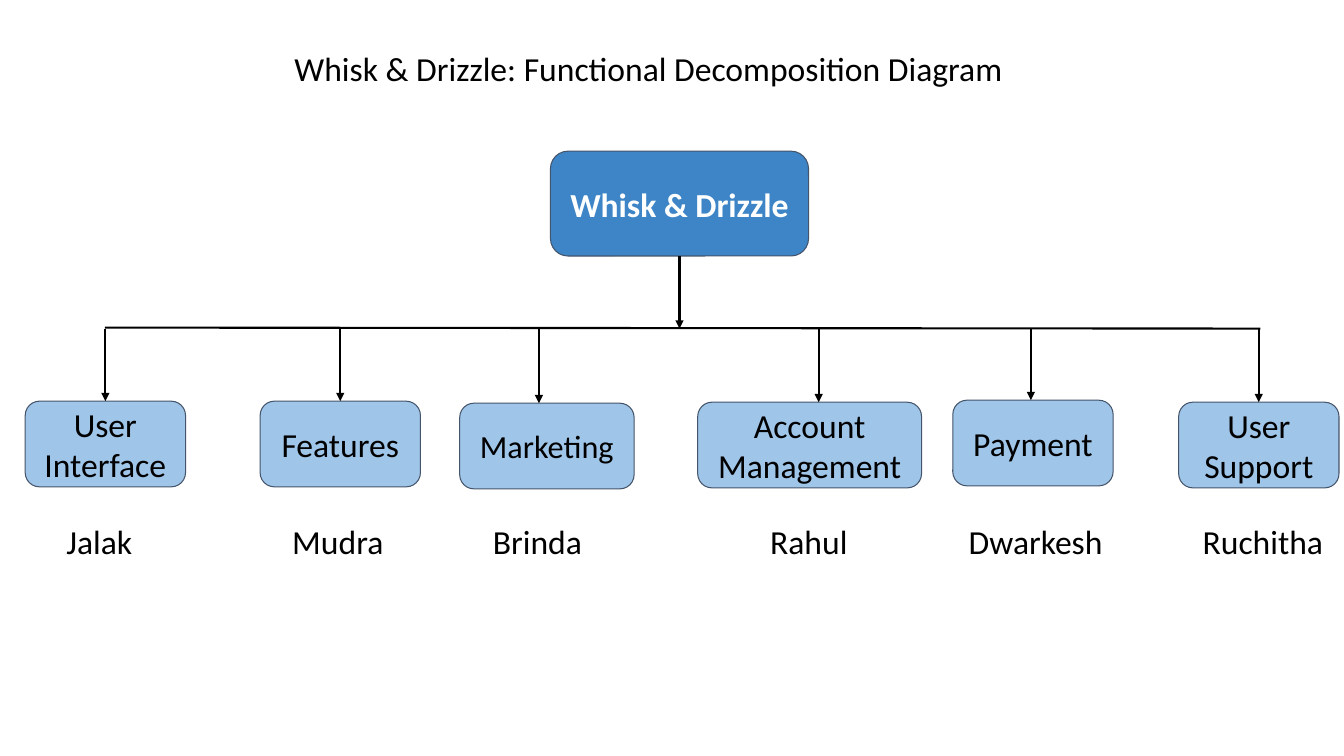
from lxml import etree
from pptx import Presentation
from pptx.dml.color import RGBColor
from pptx.enum.shapes import MSO_CONNECTOR, MSO_SHAPE
from pptx.enum.text import MSO_ANCHOR, MSO_AUTO_SIZE, PP_ALIGN
from pptx.oxml.ns import qn
from pptx.util import Pt

ROUND = MSO_SHAPE.ROUNDED_RECTANGLE
LINE = MSO_CONNECTOR.STRAIGHT
LEFT, CENTER = PP_ALIGN.LEFT, PP_ALIGN.CENTER
TOP, MIDDLE = MSO_ANCHOR.TOP, MSO_ANCHOR.MIDDLE
GROW = MSO_AUTO_SIZE.SHAPE_TO_FIT_TEXT

SCALE = 9144
BUS_Y = 326
NAME_Y = 512
BRANCHES = [
    ("User Interface", (25, 398, 159, 85), 24, 0, "Jalak", (56, 86)),
    ("Features", (258, 398, 159, 85), 24, 0, "Mudra", (280, 112)),
    ("Marketing", (456, 400, 173, 85), 23, -8, "Brinda", (479, 109)),
    ("Account Management", (692, 399, 222, 85), 24, 9, "Rahul", (754, 98)),
    ("Payment", (945, 397, 159, 85), 24, -2, "Dwarkesh", (951, 154)),
    ("User Support", (1169, 399, 159, 85), 24, 0, "Ruchitha", (1183, 141)),
]


def px(n):
    return int(n * SCALE)


def color(code):
    return RGBColor.from_string(code)


def write(shape, text, size, tone, align, anchor, bold=False):
    frame = shape.text_frame
    frame.text = text
    frame.vertical_anchor = anchor
    para = frame.paragraphs[0]
    para.alignment = align
    font = para.font
    font.name, font.size, font.bold = "Calibri", Pt(size), bold
    font.color.rgb = color(tone)
    return frame


def add_node(slide, box, text, size, fill, tone, bold=False):
    node = slide.shapes.add_shape(ROUND, *map(px, box))
    node.shadow.inherit = False
    node.fill.solid()
    node.fill.fore_color.rgb = color(fill)
    node.line.color.rgb = color("44546A")
    node.line.width = Pt(0.75)
    frame = write(node, text, size, tone, CENTER, MIDDLE, bold)
    frame.margin_left = frame.margin_right = px(13)
    frame.margin_top = frame.margin_bottom = px(13)
    return node


def add_line(slide, start, end, arrow=True):
    line = slide.shapes.add_connector(LINE, *map(px, start + end))
    line.line.color.rgb = color("000000")
    line.line.width = Pt(1.5)
    if arrow:
        tail = etree.SubElement(line.line._get_or_add_ln(), qn("a:tailEnd"))
        tail.set("type", "triangle")
    etree.SubElement(line._element.spPr, qn("a:effectLst"))
    return line


def add_title(slide, box):
    title = slide.shapes.title
    title.left, title.top, title.width, title.height = map(px, box)
    text = "Whisk & Drizzle: Functional Decomposition Diagram"
    frame = write(title, text, 24, "000000", LEFT, TOP)
    frame.auto_size = GROW


def add_root(slide, box):
    x, y, w, h = box
    root = add_node(slide, box, "Whisk & Drizzle", 24, "3D85C6", "FFFFFF", True)
    mid = x + w / 2
    stem = add_line(slide, (mid, y + h), (mid, BUS_Y))
    stem.begin_connect(root, 2)


def add_branch(slide, label, box, size, shift, name, span):
    x, y, w, h = box
    node = add_node(slide, box, label, size, "9FC5E8", "000000")
    drop = x + w / 2 + shift
    arrow = add_line(slide, (drop, BUS_Y), (drop, y))
    if shift == 0:
        arrow.end_connect(node, 0)
    left, wide = span
    note = slide.shapes.add_textbox(px(left), px(NAME_Y), px(wide), px(50))
    frame = write(note, name, 24, "000000", LEFT, TOP)
    frame.word_wrap = False
    frame.auto_size = GROW


def main():
    deck = Presentation()
    deck.slide_width, deck.slide_height = px(1333), px(750)
    slide = deck.slides.add_slide(deck.slide_layouts[5])
    add_title(slide, (282, 43, 752, 50))
    add_root(slide, (546, 150, 256, 104))
    add_line(slide, (104, BUS_Y - 1), (1250, BUS_Y), arrow=False)
    for branch in BRANCHES:
        add_branch(slide, *branch)
    deck.save("out.pptx")


if __name__ == "__main__":
    main()
